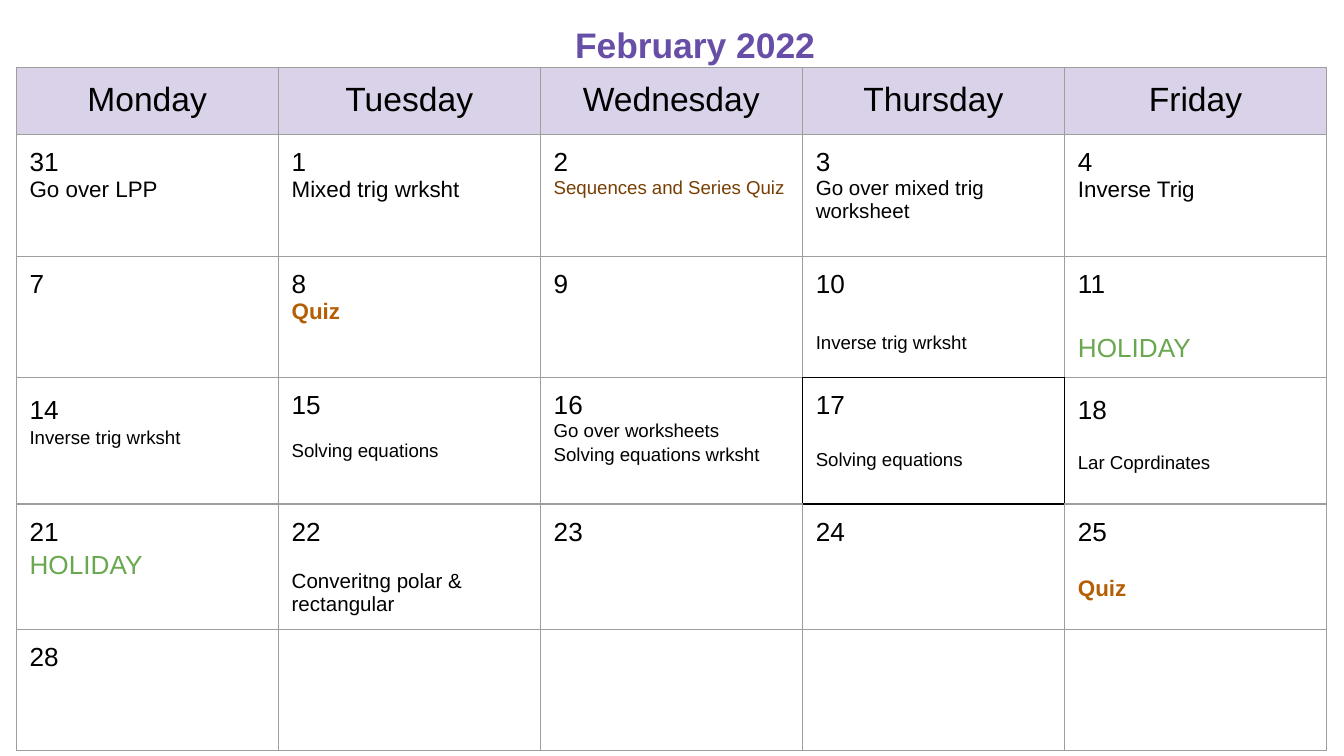
from lxml import etree
from pptx import Presentation
from pptx import util as u
from pptx.dml.color import RGBColor
from pptx.enum import text
from pptx.oxml import ns

THEME = {
    "font": "Arial",
    "ink": "000000",
    "title": "674EA7",
    "header": "D9D2E9",
    "grid": "9E9E9E",
    "holiday": "6AA84F",
    "quiz": "B45F06",
    "series": "783F04",
    "title_size": 19,
    "header_size": 18,
    "date_size": 14,
    "note_size": 10,
    "medium_size": 11,
    "large_size": 12,
    "border": 0.75,
    "loose": 1.15,
}

LOOSE = {"spacing": THEME["loose"]}
SMALL = {"size": THEME["note_size"]} | LOOSE
MEDIUM = {"size": THEME["medium_size"]}
LARGE = {"size": THEME["large_size"]}
QUIZ = LARGE | {"color": "quiz", "bold": True}
HOLIDAY = {"size": THEME["date_size"], "color": "holiday"} | LOOSE

TITLE = "February 2022"
DAYS = ["Monday", "Tuesday", "Wednesday", "Thursday", "Friday"]
WEEKS = [
    [
        ("31", ("Go over LPP", LARGE)),
        ("1", ("Mixed trig wrksht", LARGE)),
        ("2", ("Sequences and Series Quiz", {"size": THEME["note_size"], "color": "series"})),
        ("3", ("Go over mixed trig worksheet", MEDIUM)),
        ("4", ("Inverse Trig", LARGE)),
    ],
    [
        ("7",),
        ("8", ("Quiz", QUIZ)),
        ("9",),
        ("10", ("Inverse trig wrksht", SMALL | {"before": 16})),
        ("11", ("HOLIDAY", HOLIDAY | {"before": 16})),
    ],
    [
        ("14", ("Inverse trig wrksht", SMALL)),
        ("15", ("Solving equations", SMALL | {"before": 9})),
        ("16", ("Go over worksheets", {"size": THEME["note_size"]}),
         ("Solving equations wrksht", SMALL)),
        ("17", ("Solving equations", SMALL | {"before": 14})),
        ("18", ("Lar Coprdinates", SMALL | {"before": 13})),
    ],
    [
        ("21", ("HOLIDAY", HOLIDAY)),
        ("22", ("Converitng polar & rectangular", MEDIUM | {"before": 12.5})),
        ("23",),
        ("24",),
        ("25", ("Quiz", QUIZ | {"before": 16})),
    ],
    [("28",)],
]
LOOSE_DATES = {"14", "18"}
SLIDE_WIDTH = 10
ROW_HEIGHTS = [0.5, 0.91, 0.9, 0.94, 0.93, 0.9]
COLUMN_WIDTH = 1.95
HIGHLIGHT = (3, 3)
NEIGHBOUR_EDGES = {(0, -1): "R", (0, 1): "L", (-1, 0): "B", (1, 0): "T"}


def write_lines(frame, lines):
    for index, (words, style) in enumerate(lines):
        paragraph = frame.paragraphs[0] if index == 0 else frame.add_paragraph()
        layout = {
            "alignment": style.get("align", text.PP_ALIGN.LEFT),
            "line_spacing": style.get("spacing", 1.0),
            "space_before": u.Pt(style.get("before", 0)),
            "space_after": u.Pt(0),
        }
        for name, value in layout.items():
            setattr(paragraph, name, value)
        run = paragraph.add_run()
        run.text = words
        letters = {
            "name": THEME["font"],
            "size": u.Pt(style["size"]),
            "bold": style.get("bold", False),
        }
        for name, value in letters.items():
            setattr(run.font, name, value)
        run.font.color.rgb = RGBColor.from_string(THEME[style.get("color", "ink")])


def set_margins(target):
    for side in ("left", "top", "right", "bottom"):
        setattr(target, f"margin_{side}", u.Inches(0.1))


def draw_borders(cell, row, column):
    step = (row - HIGHLIGHT[0], column - HIGHLIGHT[1])
    properties = cell._tc.get_or_add_tcPr()
    for edge in "LRTB":
        dark = step == (0, 0) or NEIGHBOUR_EDGES.get(step) == edge
        line = etree.SubElement(properties, ns.qn(f"a:ln{edge}"), w=str(u.Pt(THEME["border"])))
        fill = etree.SubElement(line, ns.qn("a:solidFill"))
        etree.SubElement(fill, ns.qn("a:srgbClr"), val=THEME["ink" if dark else "grid"])


def add_calendar(slide):
    header_style = {"size": THEME["header_size"], "align": text.PP_ALIGN.CENTER}
    rows = [[[(day, header_style)] for day in DAYS]]
    for week in WEEKS:
        cells = []
        for date, *notes in week:
            date_style = {"size": THEME["date_size"]} | (LOOSE if date in LOOSE_DATES else {})
            cells.append([(date, date_style), *notes])
        rows.append(cells + [[]] * (len(DAYS) - len(cells)))

    table = slide.shapes.add_table(
        len(rows), len(DAYS), u.Inches(0.12), u.Inches(0.5),
        u.Inches(COLUMN_WIDTH * len(DAYS)), u.Inches(sum(ROW_HEIGHTS))).table
    table.first_row = table.horz_banding = False
    for column in table.columns:
        column.width = u.Inches(COLUMN_WIDTH)
    for table_row, height in zip(table.rows, ROW_HEIGHTS):
        table_row.height = u.Inches(height)

    for row, cells in enumerate(rows):
        for column, lines in enumerate(cells):
            cell = table.cell(row, column)
            set_margins(cell)
            draw_borders(cell, row, column)
            if row == 0:
                cell.fill.solid()
                cell.fill.fore_color.rgb = RGBColor.from_string(THEME["header"])
            else:
                cell.fill.background()
            write_lines(cell.text_frame, lines)


def add_title(slide):
    box = slide.shapes.add_textbox(u.Inches(4.18), u.Inches(0.07), u.Inches(3.79), u.Inches(0.52))
    frame = box.text_frame
    set_margins(frame)
    frame.word_wrap = True
    frame.auto_size = text.MSO_AUTO_SIZE.SHAPE_TO_FIT_TEXT
    write_lines(frame, [(TITLE, {"size": THEME["title_size"], "color": "title", "bold": True})])


def main():
    presentation = Presentation()
    presentation.slide_width = u.Inches(SLIDE_WIDTH)
    presentation.slide_height = u.Inches(SLIDE_WIDTH * 9 / 16)
    slide = presentation.slides.add_slide(presentation.slide_layouts[6])
    add_calendar(slide)
    add_title(slide)
    presentation.save("out.pptx")


if __name__ == "__main__":
    main()
